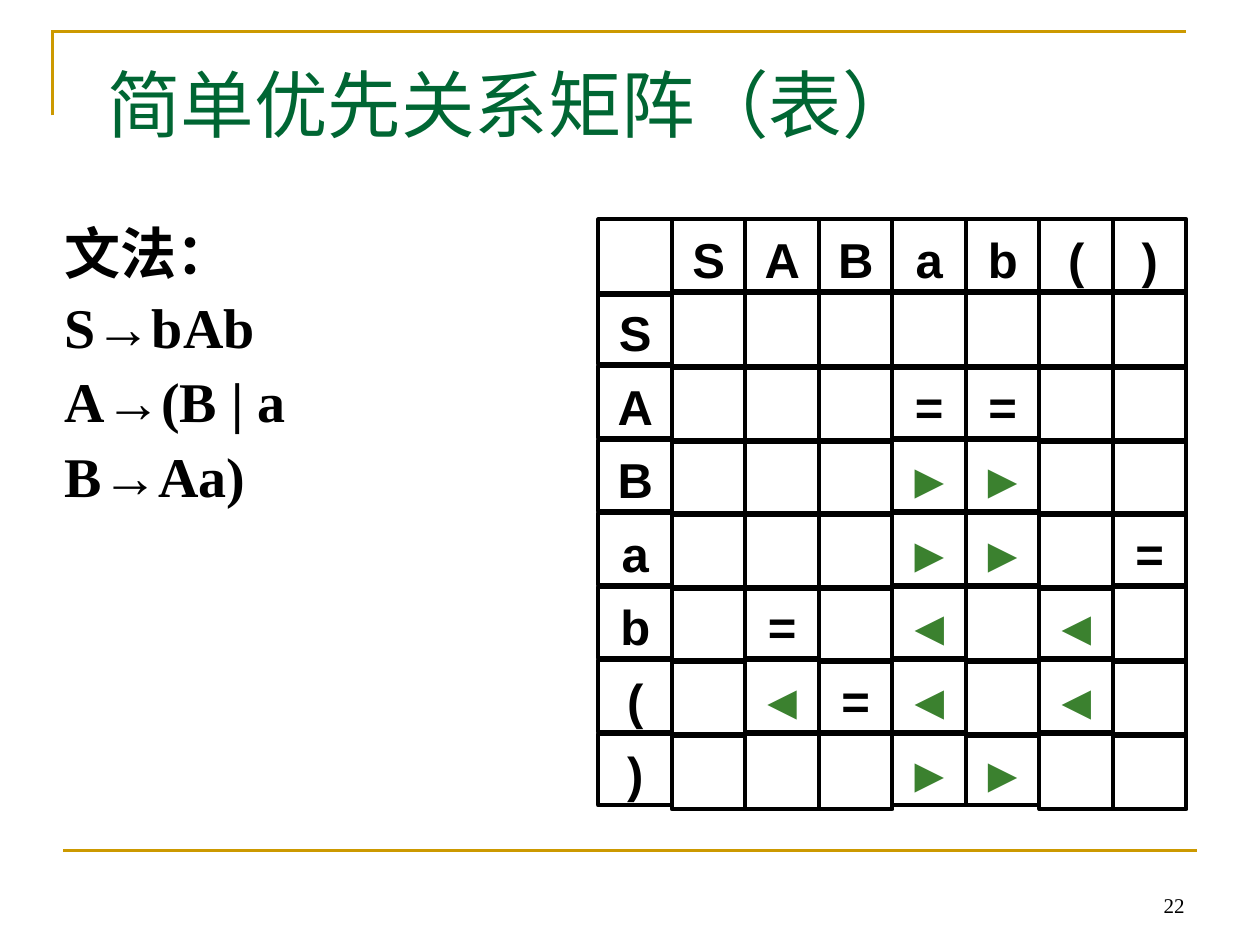
from pptx import Presentation
from pptx.dml.color import RGBColor
from pptx.enum.shapes import MSO_CONNECTOR as Connector, MSO_SHAPE as Shape
from pptx.enum.text import MSO_ANCHOR as Anchor, PP_ALIGN as Align
from pptx.oxml.ns import qn
from pptx.util import Pt
from lxml.etree import SubElement

COLORS = {"title": "006633", "text": "000000", "arrow": "3B812F", "rule": "CC9900"}

TITLE = "简单优先关系矩阵（表）"
GRAMMAR = ["文法：", "S→bAb", "A→(B | a", "B→Aa)"]
PAGE_NUMBER = "22"
SYMBOLS = ["S", "A", "B", "a", "b", "(", ")"]
RELATIONS = {
    ("A", "a"): "=", ("A", "b"): "=",
    ("B", "a"): "►", ("B", "b"): "►",
    ("a", "a"): "►", ("a", "b"): "►", ("a", ")"): "=",
    ("b", "A"): "=", ("b", "a"): "◄", ("b", "("): "◄",
    ("(", "A"): "◄", ("(", "B"): "=", ("(", "a"): "◄", ("(", "("): "◄",
    (")", "a"): "►", (")", "b"): "►",
}

BRACKET = [(30, 66), (30, 18), (678, 18)]
FOOT_RULE = (36, 486, 684, 486)
TITLE_AREA = (54, 30, 612, 60)
GRAMMAR_AREA = (30, 121.5, 318, 216)
NUMBER_AREA = (516, 492, 168, 36)
MATRIX_LEFT, MATRIX_TOP, PITCH = 342, 125.28, 42
FILLED_HEIGHT, EMPTY_HEIGHT = 41, 43.2
BORDER = 2.25


def apply(target, values):
    for name, value in values.items():
        setattr(target, name, value)


def style_font(para, size, color, name="Times New Roman", bold=False):
    apply(para.font, {"size": Pt(size), "name": name, "bold": bold})
    para.font.color.rgb = RGBColor.from_string(COLORS[color])


def style_line(line, width, color):
    line.width = Pt(width)
    line.color.rgb = RGBColor.from_string(COLORS[color])


def add_rules(page):
    points = [(Pt(x), Pt(y)) for x, y in BRACKET]
    builder = page.shapes.build_freeform(*points[0])
    builder.add_line_segments(points[1:], close=False)
    bracket = builder.convert_to_shape()
    bracket.shadow.inherit = False
    bracket.fill.background()
    style_line(bracket.line, 1.5, "rule")
    SubElement(bracket.line._get_or_add_ln(), qn("a:miter"), lim="800000")
    rule = page.shapes.add_connector(Connector.STRAIGHT, *map(Pt, FOOT_RULE))
    style_line(rule.line, 1.5, "rule")
    SubElement(rule._element.spPr, qn("a:effectLst"))


def add_title(page):
    title = page.shapes.title
    apply(title, dict(zip(("left", "top", "width", "height"), map(Pt, TITLE_AREA))))
    frame = title.text_frame
    frame.text = TITLE
    apply(frame, {"vertical_anchor": Anchor.MIDDLE, "margin_bottom": Pt(5.6)})
    frame.paragraphs[0].alignment = Align.LEFT
    style_font(frame.paragraphs[0], 42, "title")


def add_text(page, area, lines, anchor):
    frame = page.shapes.add_textbox(*map(Pt, area)).text_frame
    apply(frame, {"word_wrap": True, "vertical_anchor": anchor})
    frame.text = "\n".join(lines)
    return frame.paragraphs


def add_grammar(page):
    paras = add_text(page, GRAMMAR_AREA, GRAMMAR, Anchor.TOP)
    for para in paras:
        style_font(para, 32, "text", bold=True)
    for para in paras[1:]:
        apply(para, {"line_spacing": 0.9, "space_before": Pt(8)})


def add_number(page):
    para = add_text(page, NUMBER_AREA, [PAGE_NUMBER], Anchor.BOTTOM)[0]
    para.alignment = Align.RIGHT
    style_font(para, 12, "text")


def add_cell(group, left, top, text):
    height = FILLED_HEIGHT if text else EMPTY_HEIGHT
    cell = group.shapes.add_shape(Shape.RECTANGLE, *map(Pt, (left, top, PITCH, height)))
    cell.shadow.inherit = False
    cell.fill.background()
    style_line(cell.line, BORDER, "text")
    if not text:
        return
    frame = cell.text_frame
    apply(frame, {"text": text, "vertical_anchor": Anchor.TOP,
                  "margin_top": Pt(5.6), "margin_bottom": 0})
    para = frame.paragraphs[0]
    para.alignment = Align.CENTER
    if text in ("►", "◄"):
        style_font(para, 28, "arrow", bold=True)
    else:
        style_font(para, 28, "text", "Arial", True)


def add_matrix(page):
    rows = [["", *SYMBOLS]]
    rows += [[row, *(RELATIONS.get((row, column), "") for column in SYMBOLS)] for row in SYMBOLS]
    for i, row in enumerate(rows):
        group = page.shapes.add_group_shape()
        for j, text in enumerate(row):
            add_cell(group, MATRIX_LEFT + j * PITCH, MATRIX_TOP + i * PITCH, text)


def main():
    deck = Presentation()
    apply(deck, {"slide_width": Pt(720), "slide_height": Pt(540)})
    page = deck.slides.add_slide(deck.slide_layouts[5])
    add_rules(page)
    add_number(page)
    add_title(page)
    add_grammar(page)
    add_matrix(page)
    deck.save("out.pptx")


if __name__ == "__main__":
    main()
